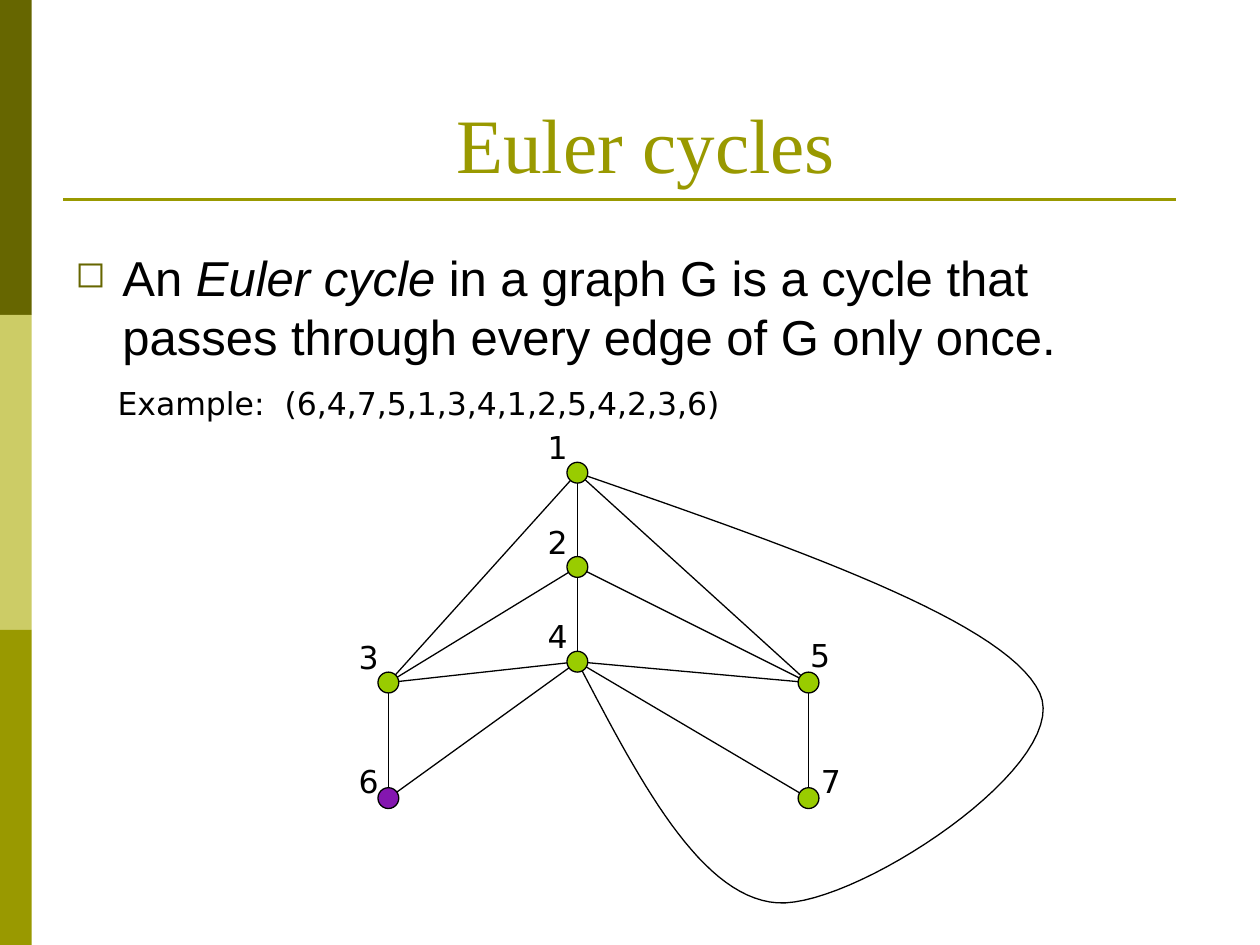
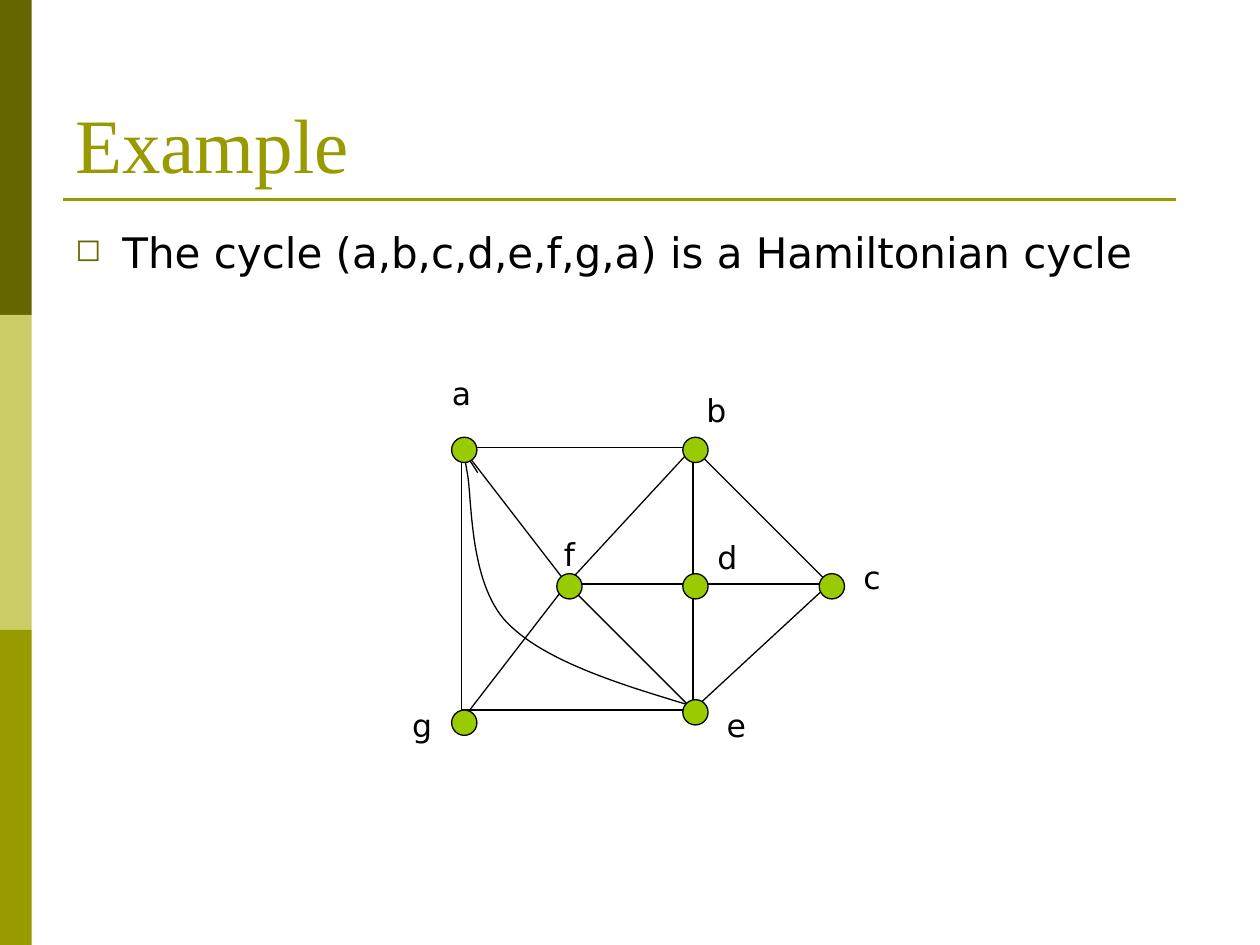
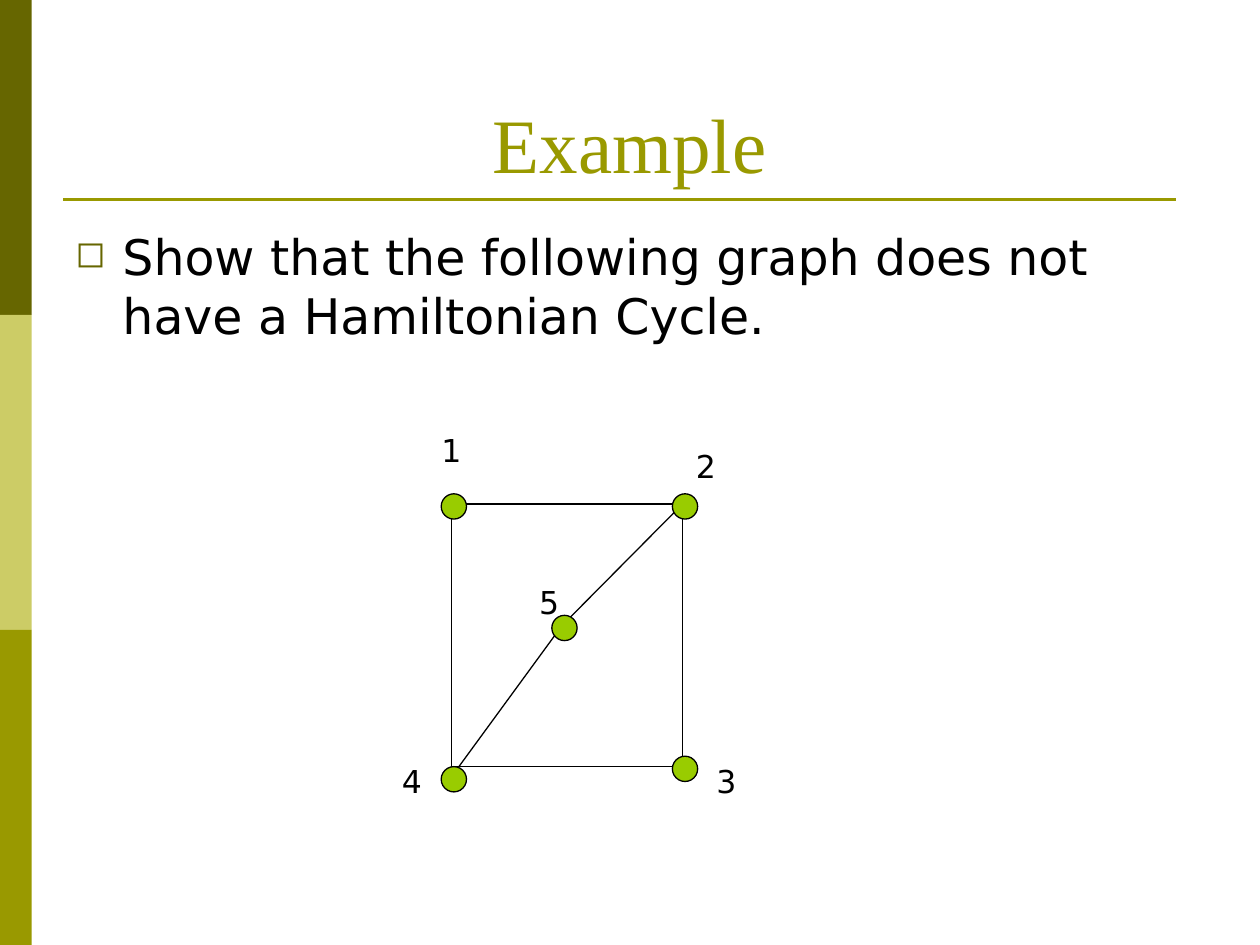
import pptx
import pptx.util
import pptx.dml.color
import pptx.enum.shapes
import pptx.enum.text
import pptx.oxml.ns
import lxml.etree

Cm = pptx.util.Cm
SHAPE = pptx.enum.shapes.MSO_SHAPE
ALIGN = pptx.enum.text.PP_ALIGN
ANCHOR = pptx.enum.text.MSO_ANCHOR
SANS, SERIF, ARIAL = "DejaVu Sans", "Times New Roman", "Arial"
BLACK, DARK, PALE, OLIVE = "000000", "666600", "CCCC66", "999900"
GREEN, PURPLE = "99CC00", "8416B0"


def rgb(value):
    return pptx.dml.color.RGBColor.from_string(value)


def add_text(s, text, x, y, w, h, size=18, font=SANS, color=BLACK,
             align=ALIGN.LEFT, anchor=ANCHOR.TOP, wrap=True, bullet=False):
    tf = s.shapes.add_textbox(Cm(x), Cm(y), Cm(w), Cm(h)).text_frame
    tf.word_wrap = wrap
    tf.vertical_anchor = anchor
    p = tf.paragraphs[0]
    p.alignment = align
    for i, part in enumerate(text.split("*")):
        r = p.add_run()
        r.text = part
        r.font.size = pptx.util.Pt(size)
        r.font.name = font
        r.font.color.rgb = rgb(color)
        r.font.italic = i % 2 == 1
    if bullet:
        qn = pptx.oxml.ns.qn
        pPr = p._p.get_or_add_pPr()
        pPr.set("marL", str(Cm(0.95)))
        pPr.set("indent", str(Cm(-0.95)))
        clr = lxml.etree.SubElement(pPr, qn("a:buClr"))
        lxml.etree.SubElement(clr, qn("a:srgbClr"), val=DARK)
        lxml.etree.SubElement(pPr, qn("a:buSzPct"), val="75000")
        lxml.etree.SubElement(pPr, qn("a:buChar"), char="◻")


left, middle, right = 7.83, 11.64, 16.3
above = (-0.42, -1.02)
beside = (-0.42, -0.85)
euler = {"1": (middle, 9.53, above), "2": (middle, 11.43, above),
         "3": (left, 13.76, above), "4": (middle, 13.34, above),
         "5": (right, 13.76, (0.21, -1.06)),
         "6": (left, 16.09, beside), "7": (right, 16.09, (0.43, -0.85))}

side, row = 4.66, 2.75
corners = [(0, 0, (-0.07, -1.65)), (side, 0, (0.4, -1.32)),
           (side, 5.29, (0.81, -0.26)), (0, 2 * row, (-0.87, -0.47))]
hamilton = dict(zip("abeg", corners))
hamilton.update(c=(side + row, row, (0.81, -0.69)), d=(side, row, (0.62, -1.1)),
                f=(2.12, row, (0, -1.15)))
square = dict(zip("1234", corners))
square["5"] = (2.23, 2.45, (-0.33, -1.03))

slides = [
    dict(title="Euler cycles", title_x=0.64, title_w=24.76, align=ALIGN.CENTER,
         body="An *Euler cycle* in a graph G is a cycle that passes "
              "through every edge of G only once.",
         body_y=4.87, size=28, font=ARIAL,
         caption="Example:  (6,4,7,5,1,3,4,1,2,5,4,2,3,6)",
         nodes=euler, origin=(0, 0), d=0.42, nudge=0, start="6",
         edges="36 34 46 45 47 57 25 23 15 13 24 12",
         curve=[euler["4"][:2], (15.67, 18.2), (20.96, 13.97), euler["1"][:2]]),
    dict(title="Example", title_x=1.27, title_w=22.86, align=ALIGN.LEFT,
         body="The cycle (a,b,c,d,e,f,g,a) is a Hamiltonian cycle",
         body_y=4.45, size=24, font=SANS,
         nodes=hamilton, origin=(9.36, 9.07), d=0.51, nudge=0.05,
         edges="af ec fe bc dc fd ge de bd fb gf ag ab",
         curve=[(14.18, 14.3), (10.24, 12.57), (9.42, 9.53), (9.63, 9.53)]),
    dict(title="Example", title_x=1.27, title_w=22.86, align=ALIGN.CENTER,
         body="Show that the following graph does not have a Hamiltonian Cycle.",
         body_y=4.45, size=28, font=SANS,
         nodes=square, origin=(9.15, 10.21), d=0.51, nudge=0.05,
         edges="43 23 52 45 14 12"),
]

prs = pptx.Presentation()
prs.slide_width = Cm(25.4)
prs.slide_height = Cm(19.05)

for data in slides:
    s = prs.slides.add_slide(prs.slide_layouts[6])

    for i, color in enumerate([DARK, PALE, OLIVE]):
        sp = s.shapes.add_shape(SHAPE.RECTANGLE, 0, Cm(6.35 * i), Cm(0.64), Cm(6.35))
        sp.shadow.inherit = False
        sp.fill.solid()
        sp.fill.fore_color.rgb = rgb(color)
        sp.line.fill.background()

    if "curve" in data:
        axes = []
        for p0, p1, p2, p3 in zip(*data["curve"]):
            into1, out1 = p1 - (p2 - p0) / 6, p1 + (p2 - p0) / 6
            into2, out2 = p2 - (p3 - p1) / 6, p2 + (p3 - p1) / 6
            pieces = [(p0, (p0 + into1) / 2, into1, p1), (p1, out1, into2, p2),
                      (p2, out2, (out2 + p3) / 2, p3)]
            axes.append([Cm((1 - t)**3 * a + 3 * (1 - t)**2 * t * b
                            + 3 * (1 - t) * t**2 * c + t**3 * d)
                         for a, b, c, d in pieces
                         for t in [k / 30 for k in range(31)]])
        trace = list(zip(*axes))
        fb = s.shapes.build_freeform(*trace[0])
        fb.add_line_segments(trace[1:], close=False)
        sp = fb.convert_to_shape()
        sp.shadow.inherit = False
        sp.fill.background()
        sp.line.color.rgb = rgb(BLACK)
        sp.line.width = pptx.util.Pt(0.75)

    ox, oy = data["origin"]
    nodes = {name: (ox + x, oy + y, offset)
             for name, (x, y, offset) in data["nodes"].items()}
    lines = [((1.27, 4.02, 23.7, 4.02), OLIVE, 1.5)]
    for start, end in data["edges"].split():
        x1, y1, x2, y2 = [v - data["nudge"] for v in nodes[start][:2] + nodes[end][:2]]
        if abs(y1 - y2) < 0.3:
            y1 = y2 = min(y1, y2)
        lines.append(((x1, y1, x2, y2), BLACK, 0.75))
    for ends, color, width in lines:
        cn = s.shapes.add_connector(pptx.enum.shapes.MSO_CONNECTOR.STRAIGHT,
                                    *[Cm(v) for v in ends])
        cn.line.color.rgb = rgb(color)
        cn.line.width = pptx.util.Pt(width)
        lxml.etree.SubElement(cn._element.spPr, pptx.oxml.ns.qn("a:effectLst"))

    add_text(s, data["title"], data["title_x"], 0.76, data["title_w"], 3.18, size=44,
             font=SERIF, color=OLIVE, align=data["align"], anchor=ANCHOR.BOTTOM)
    add_text(s, data["body"], 1.27, data["body_y"], 22.86, 2.75,
             size=data["size"], font=data["font"], bullet=True)
    if "caption" in data:
        add_text(s, data["caption"], 2.12, 7.62, 20.53, 1.02)

    d = data["d"]
    for name, (x, y, (dx, dy)) in nodes.items():
        sp = s.shapes.add_shape(SHAPE.FLOWCHART_CONNECTOR,
                                Cm(x - d / 2), Cm(y - d / 2), Cm(d), Cm(d))
        sp.shadow.inherit = False
        sp.fill.solid()
        sp.fill.fore_color.rgb = rgb(PURPLE if name == data.get("start") else GREEN)
        sp.line.color.rgb = rgb(BLACK)
        sp.line.width = pptx.util.Pt(0.75)
        add_text(s, name, x + dx - 0.43, y + dy, 0.86, 1.02,
                 align=ALIGN.CENTER, wrap=False)

prs.save("out.pptx")
